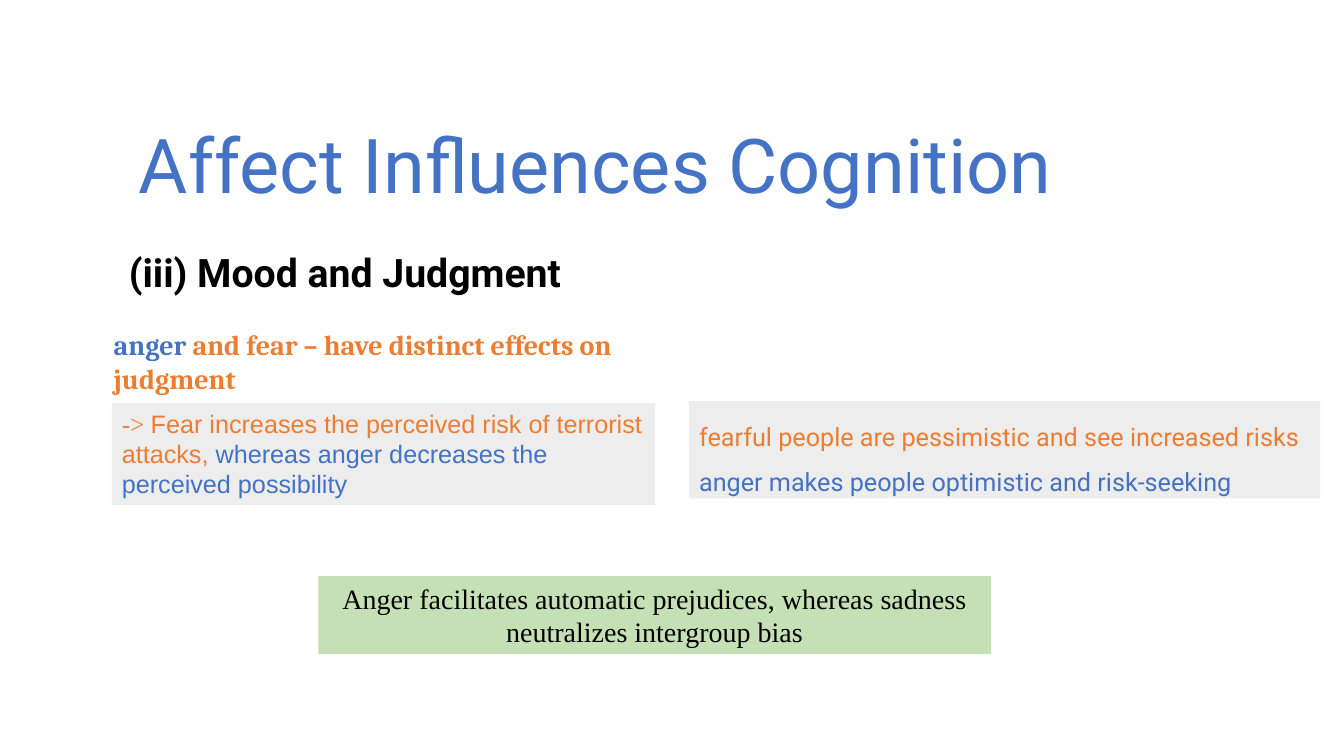
from dataclasses import dataclass
from typing import Optional

from pptx import Presentation
from pptx.dml.color import RGBColor
from pptx.enum.shapes import MSO_SHAPE
from pptx.enum.text import MSO_ANCHOR, PP_ALIGN
from pptx.slide import Slide
from pptx.text.text import TextFrame
from pptx.util import Pt


@dataclass(frozen=True)
class Theme:
    blue: str = "4472C4"
    orange: str = "ED7D31"
    black: str = "000000"
    grey_fill: str = "EDEDED"
    green_fill: str = "C5E0B4"
    title: float = 54
    heading: float = 28
    lead: float = 20
    body: float = 18


@dataclass(frozen=True)
class Run:
    text: str
    color: str
    font: str
    size: float
    bold: bool = False


@dataclass(frozen=True)
class Block:
    left: float
    top: float
    width: float
    height: float
    paragraphs: list[list[Run]]
    fill: Optional[str] = None
    align: PP_ALIGN = PP_ALIGN.LEFT
    anchor: MSO_ANCHOR = MSO_ANCHOR.TOP
    line_spacing: float = 1.0


T = Theme()

BLOCKS = [
    Block(92.16, 77.76, 807.84, 75.6,
          [[Run("Affect Influences Cognition", T.blue, "Roboto", T.title)]],
          anchor=MSO_ANCHOR.BOTTOM, line_spacing=0.9),
    Block(84.96, 173.5, 349.2, 108.7,
          [[Run("(iii) Mood and Judgment", T.black, "Roboto", T.heading, True)]]),
    Block(79.92, 288, 388.1, 72.7,
          [[Run("-> ", T.orange, "Times New Roman", T.body),
            Run("Fear increases the perceived risk of terrorist attacks, ",
                T.orange, "Arial", T.body),
            Run("whereas anger decreases the perceived possibility",
                T.blue, "Arial", T.body)]],
          fill=T.grey_fill),
    Block(74.16, 230.4, 449.3, 31.7,
          [[Run("anger", T.blue, "Cambria", T.lead, True),
            Run(" and fear – have distinct effects on judgment",
                T.orange, "Cambria", T.lead, True)]]),
    Block(227.52, 411.5, 480.24, 55.7,
          [[Run("Anger facilitates automatic prejudices, whereas sadness "
                "neutralizes intergroup bias",
                T.black, "Times New Roman", T.lead)]],
          fill=T.green_fill, align=PP_ALIGN.CENTER),
    Block(492.3, 286.6, 450.72, 69.5,
          [[Run("fearful people are pessimistic and see increased risks",
                T.orange, "Roboto", T.body)],
           [Run("anger makes people optimistic and risk-seeking",
                T.blue, "Roboto", T.body)]],
          fill=T.grey_fill, line_spacing=1.5),
]


def write_text(tf: TextFrame, paragraphs: list[list[Run]], *, align: PP_ALIGN,
               anchor: MSO_ANCHOR, line_spacing: float) -> None:
    tf.word_wrap = True
    tf.vertical_anchor = anchor
    for i, runs in enumerate(paragraphs):
        p = tf.add_paragraph() if i else tf.paragraphs[0]
        p.alignment = align
        p.line_spacing = line_spacing
        for run in runs:
            r = p.add_run()
            r.text = run.text
            r.font.name = run.font
            r.font.size = Pt(run.size)
            r.font.bold = run.bold
            r.font.color.rgb = RGBColor.from_string(run.color)


def draw_block(s: Slide, block: Block) -> None:
    box = [Pt(v) for v in (block.left, block.top, block.width, block.height)]
    if block.fill:
        sp = s.shapes.add_shape(MSO_SHAPE.RECTANGLE, *box)
        sp.shadow.inherit = False
        sp.fill.solid()
        sp.fill.fore_color.rgb = RGBColor.from_string(block.fill)
        sp.line.fill.background()
    else:
        sp = s.shapes.add_textbox(*box)
    write_text(sp.text_frame, block.paragraphs, align=block.align,
               anchor=block.anchor, line_spacing=block.line_spacing)


def main() -> None:
    prs = Presentation()
    prs.slide_width, prs.slide_height = Pt(960), Pt(540)
    s = prs.slides.add_slide(prs.slide_layouts[6])
    for block in BLOCKS:
        draw_block(s, block)
    prs.save("out.pptx")


if __name__ == "__main__":
    main()
